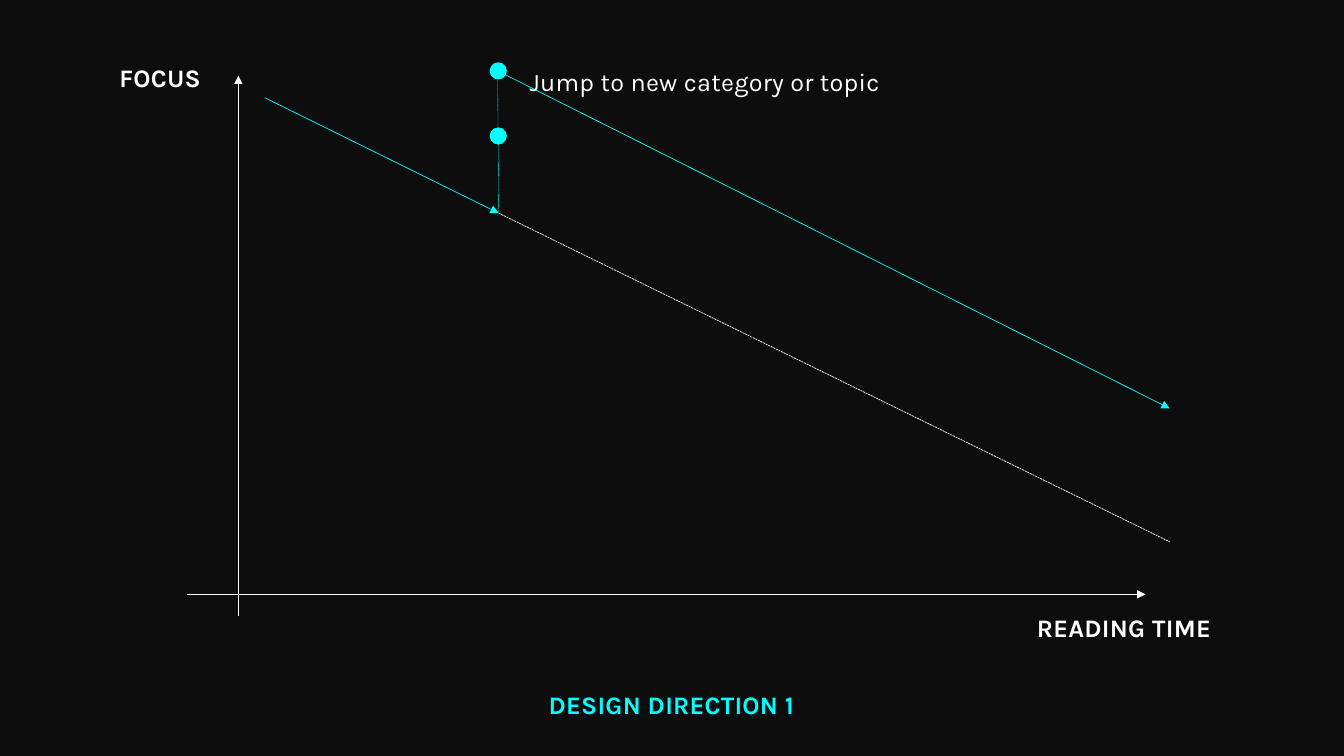
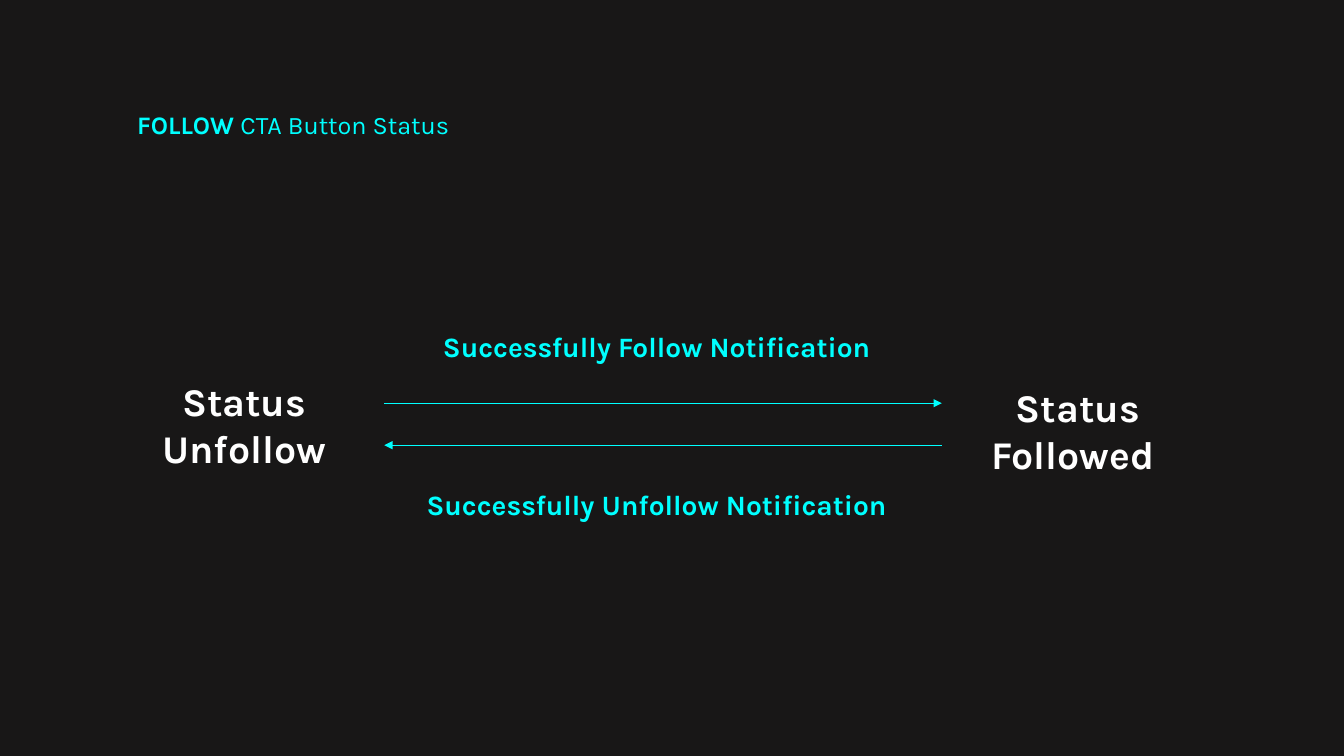
from dataclasses import dataclass

from lxml.etree import SubElement
from pptx import Presentation
from pptx.dml.color import RGBColor
from pptx.enum.dml import MSO_LINE
from pptx.enum.shapes import MSO_CONNECTOR, MSO_SHAPE
from pptx.enum.text import MSO_ANCHOR, MSO_AUTO_SIZE, PP_ALIGN
from pptx.oxml.ns import qn
from pptx.util import Pt

PX = 9525  # EMU in one px, 96 px to the inch


@dataclass(frozen=True)
class Theme:
    font: str = "Karla"
    white: RGBColor = RGBColor(255, 255, 255)
    cyan: RGBColor = RGBColor(0, 255, 255)
    black: RGBColor = RGBColor(13, 13, 13)
    grey: RGBColor = RGBColor(24, 23, 23)
    body: int = 18
    note: int = 20
    state: int = 28
    thin: float = 0.5
    track: int = 20


theme = Theme()


def write(shape, box, lines, size, color, align=PP_ALIGN.CENTER, track=0):
    """Place a text shape; each line is a list of (text, bold) runs."""
    shape.left, shape.top, shape.width, shape.height = [n * PX for n in box]
    frame = shape.text_frame
    frame.word_wrap = True
    frame.auto_size = MSO_AUTO_SIZE.NONE
    frame.vertical_anchor = MSO_ANCHOR.TOP
    for i, runs in enumerate(lines):
        para = frame.add_paragraph() if i else frame.paragraphs[0]
        para.alignment = align
        for text, bold in runs:
            run = para.add_run()
            run.text = text
            font = run.font
            font.name, font.size, font.bold = theme.font, Pt(size), bold
            font.color.rgb = color
            if track:
                run._r.get_or_add_rPr().set("spc", str(track))


def draw(slide, ends, color, arrow=True, width=theme.thin):
    """Draw a line with an arrowhead at its end, or a dashed line without."""
    line = slide.shapes.add_connector(
        MSO_CONNECTOR.STRAIGHT, *[n * PX for n in ends])
    line.line.color.rgb = color
    line.line.width = Pt(width)
    if arrow:
        SubElement(line.line._get_or_add_ln(), qn("a:tailEnd"), type="triangle")
    else:
        line.line.dash_style = MSO_LINE.SQUARE_DOT
    SubElement(line._element.spPr, qn("a:effectLst"))


deck = Presentation()
deck.slide_width, deck.slide_height = 1280 * PX, 720 * PX
slides = []
for color in (theme.black, theme.grey):
    slide = deck.slides.add_slide(deck.slide_layouts[5])
    slide.background.fill.solid()
    slide.background.fill.fore_color.rgb = color
    slides.append(slide)
focus, follow = slides

# Focus over reading time
write(focus.shapes.title, (477, 652, 325, 38), [[("DESIGN DIRECTION 1", True)]],
      theme.body, theme.cyan, track=theme.track)

draw(focus, (227, 587, 227, 72), theme.white)
draw(focus, (178, 566, 1091, 566), theme.white)

jump, end = 475, 1114
draw(focus, (252, 93, jump, 203), theme.cyan)
draw(focus, (jump, 203, 474, 76), theme.cyan, arrow=False, width=0.25)
draw(focus, (jump, 203, end, 516), theme.white, arrow=False)
draw(focus, (jump, 68, end, 389), theme.cyan)

for top in (60, 122):
    dot = focus.shapes.add_shape(
        MSO_SHAPE.OVAL, 467 * PX, top * PX, 15 * PX, 15 * PX)
    dot.shadow.inherit = False
    dot.fill.solid()
    dot.fill.fore_color.rgb = theme.cyan
    dot.line.color.rgb = theme.cyan
    dot.line.width = Pt(1)

for text, box, bold, align in (
    ("READING TIME", (956, 578, 229, 38), True, PP_ALIGN.CENTER),
    ("FOCUS", (90, 55, 125, 38), True, PP_ALIGN.CENTER),
    ("Jump to new category or topic", (495, 58, 461, 38), False, PP_ALIGN.LEFT),
):
    write(focus.shapes.add_textbox(0, 0, 0, 0), box, [[(text, bold)]],
          theme.body, theme.white, align, theme.track)

# Follow button states
write(follow.shapes.title, (121, 99, 455, 38),
      [[("FOLLOW ", True), ("CTA Button Status", False)]],
      theme.body, theme.cyan, PP_ALIGN.LEFT)

for state, box in (
    ("Unfollow", (121, 355, 223, 100)),
    ("Followed ", (908, 360, 237, 100)),
):
    write(follow.shapes.add_textbox(0, 0, 0, 0), box,
          [[("Status", True)], [(state, True)]], theme.state, theme.white)

left, right = 366, 897
for verb, top, start, stop, level in (
    ("Follow", 309, left, right, 384),
    ("Unfollow", 460, right, left, 424),
):
    write(follow.shapes.add_textbox(0, 0, 0, 0), (left, top, 519, 42),
          [[(f"Successfully {verb} Notification", True)]],
          theme.note, theme.cyan)
    draw(follow, (start, level, stop, level), theme.cyan)

deck.save("out.pptx")
